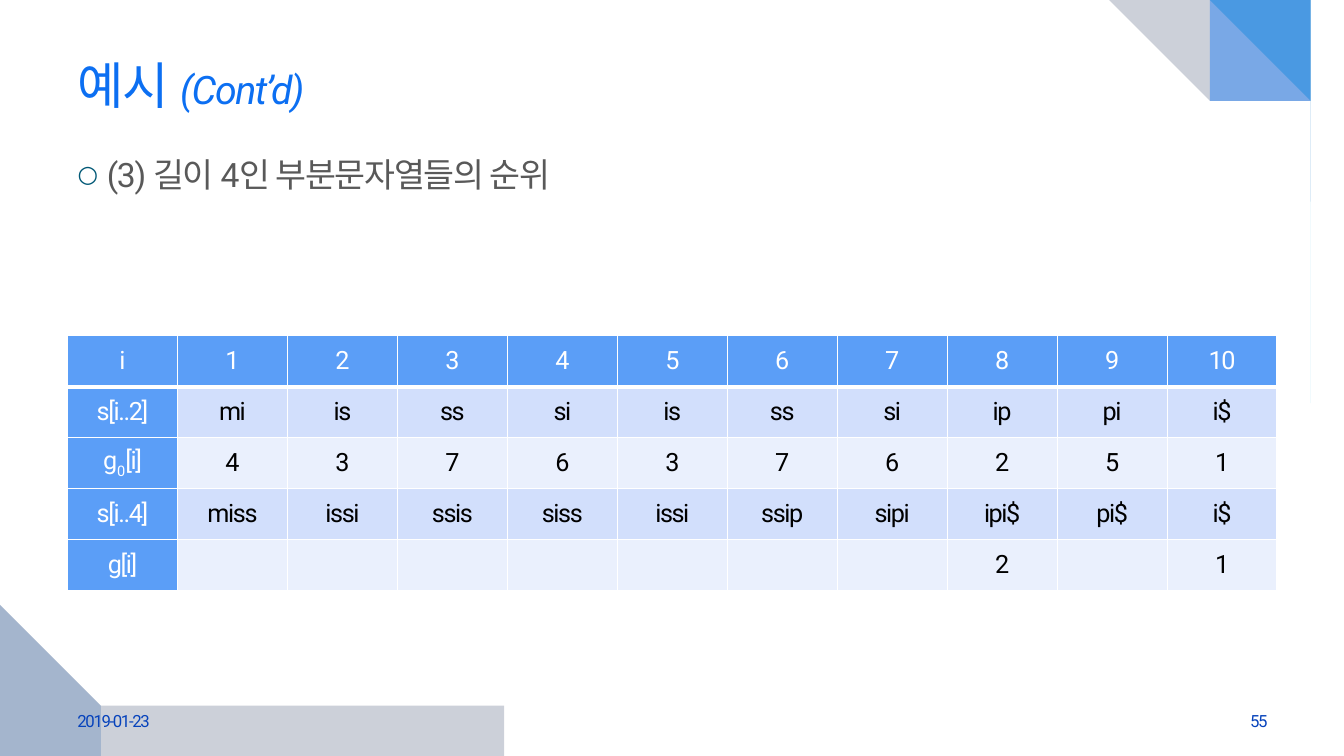
"""Build the slide that ranks the substrings of length 4."""
from lxml import etree
from pptx import Presentation
from pptx.dml.color import RGBColor
from pptx.enum import text
from pptx.oxml import ns
from pptx.util import Inches, Pt

FONT = "Roboto"
WHITE, BLACK, HEADER_BLUE = "FFFFFF", "000000", "5B9EF7"
BAND_FILLS = ["EAF0FD", "D2DFFC"]
TITLE_RUNS = [("예시 ", 36, False), ("(Cont’d)", 28, True)]
BULLET_TEXT = "(3) 길이 4인 부분문자열들의 순위"
FOOTERS = [("2019-01-23", 0.67, text.PP_ALIGN.LEFT), ("55", 9.56, text.PP_ALIGN.RIGHT)]
ROWS = [
    ["i", "1", "2", "3", "4", "5", "6", "7", "8", "9", "10"],
    ["s[i..2]", "mi", "is", "ss", "si", "is", "ss", "si", "ip", "pi", "i$"],
    ["g0[i]", "4", "3", "7", "6", "3", "7", "6", "2", "5", "1"],
    ["s[i..4]", "miss", "issi", "ssis", "siss", "issi", "ssip", "sipi", "ipi$", "pi$", "i$"],
    ["g[i]", "", "", "", "", "", "", "", "2", "", "1"],
]
SUBSCRIPT_LABEL = ["g", "0", "[i]"]
WAVES = [
    ("00B1E9", 45, [
        (13.33, 4.08), (13.33, 0), (11.89, 0), (11.98, 0.05), (12.1, 0.14), (12.2, 0.23),
        (12.31, 0.35), (12.43, 0.5), (12.53, 0.64), (12.63, 0.81), (12.72, 1), (12.82, 1.21),
        (12.91, 1.46), (13, 1.73), (13.08, 2.03), (13.15, 2.37), (13.21, 2.74), (13.27, 3.15),
        (13.31, 3.6), (13.32, 3.84)]),
    ("021741", 20, [
        (8.89, 0), (13.33, 0), (13.33, 2.15), (13.3, 2.06), (13.25, 1.96), (13.19, 1.84),
        (13.11, 1.73), (13.03, 1.6), (12.92, 1.47), (12.79, 1.34), (12.63, 1.19), (12.45, 1.05),
        (12.25, 0.91), (12.01, 0.76), (11.75, 0.63), (11.45, 0.5), (11.12, 0.38), (10.75, 0.27),
        (10.35, 0.18), (9.9, 0.1), (9.42, 0.04), (9.16, 0.02)]),
    ("247FF4", 49, [
        (8.89, 0), (13.33, 0), (13.33, 1.55), (13.3, 1.49), (13.23, 1.38), (13.14, 1.27),
        (13.03, 1.16), (12.92, 1.06), (12.79, 0.96), (12.64, 0.86), (12.46, 0.76), (12.25, 0.65),
        (12.02, 0.55), (11.75, 0.45), (11.46, 0.36), (11.12, 0.27), (10.76, 0.19), (10.35, 0.13),
        (9.91, 0.07), (9.42, 0.03), (9.07, 0.01)]),
    ("021741", 20, [
        (5, 7.5), (0, 7.5), (0, 6.08), (0.04, 6.13), (0.12, 6.24), (0.21, 6.33), (0.31, 6.41),
        (0.42, 6.49), (0.56, 6.58), (0.72, 6.68), (0.91, 6.77), (1.14, 6.87), (1.39, 6.96),
        (1.68, 7.05), (2, 7.14), (2.36, 7.22), (2.76, 7.3), (3.2, 7.36), (3.69, 7.42),
        (4.22, 7.46), (4.6, 7.48)]),
    ("084AA1", 20, [
        (0, 4.58), (0, 7.5), (1.48, 7.5), (1.39, 7.47), (1.26, 7.41), (1.16, 7.34), (1.04, 7.25),
        (0.92, 7.14), (0.82, 7.04), (0.72, 6.93), (0.62, 6.79), (0.52, 6.64), (0.43, 6.46),
        (0.34, 6.27), (0.26, 6.05), (0.19, 5.81), (0.12, 5.54), (0.07, 5.25), (0.03, 4.93)]),
]


def rgb(value):
    return RGBColor.from_string(value)


def add_element(parent, tag, **attributes):
    return etree.SubElement(parent, ns.qn(tag), attributes)


def style_run(run, size, color, italic=None):
    run.font.size, run.font.name, run.font.italic = Pt(size), FONT, italic
    run.font.color.rgb = rgb(color)
    properties = run._r.get_or_add_rPr()
    properties.set("spc", "-100")
    add_element(properties, "a:ea", typeface=FONT)


def place(shape, left, top, width, height):
    shape.left, shape.top = Inches(left), Inches(top)
    shape.width, shape.height = Inches(width), Inches(height)


def add_wave(slide, color, opacity, points):
    builder = slide.shapes.build_freeform(*points[0], scale=Inches(1))
    builder.add_line_segments(points[1:], close=True)
    shape = builder.convert_to_shape()
    shape.shadow.inherit = False
    shape.fill.solid()
    shape.fill.fore_color.rgb = rgb(color)
    shape.line.fill.background()
    color_element = shape.element.find(".//" + ns.qn("a:srgbClr"))
    add_element(color_element, "a:alpha", val=str(opacity * 1000))


def fill_title(title):
    place(title, 0.67, 0.33, 12, 1.01)
    title.text_frame.vertical_anchor = text.MSO_ANCHOR.MIDDLE
    paragraph = title.text_frame.paragraphs[0]
    paragraph.alignment = text.PP_ALIGN.LEFT
    for words, size, italic in TITLE_RUNS:
        run = paragraph.add_run()
        run.text = words
        style_run(run, size, "0C6FF2", italic)


def fill_body(body):
    place(body, 0.67, 1.48, 12, 5.22)
    body.text_frame.text = BULLET_TEXT
    paragraph = body.text_frame.paragraphs[0]
    properties = paragraph._p.get_or_add_pPr()
    properties.set("marL", str(Inches(0.29)))
    properties.set("indent", str(Inches(-0.29)))
    add_element(add_element(properties, "a:buClr"), "a:srgbClr", val="005876")
    add_element(properties, "a:buSzPct", val="70000")
    add_element(properties, "a:buFont", typeface=FONT)
    add_element(properties, "a:buChar", char="○")
    paragraph.space_before = Pt(0)
    style_run(paragraph.runs[0], 24, "595959")


def add_footer(slide, words, left, alignment):
    box = slide.shapes.add_textbox(Inches(left), Inches(6.95), Inches(3.11), Inches(0.4))
    frame = box.text_frame
    frame.word_wrap = True
    frame.vertical_anchor = text.MSO_ANCHOR.MIDDLE
    frame.text = words
    frame.paragraphs[0].alignment = alignment
    style_run(frame.paragraphs[0].runs[0], 12, "0743BC")


def style_cell(cell, row, column):
    heading = row == 0 or column == 0
    cell.vertical_anchor = text.MSO_ANCHOR.MIDDLE
    paragraph = cell.text_frame.paragraphs[0]
    paragraph.alignment = text.PP_ALIGN.CENTER
    label = ROWS[row][column]
    for part in SUBSCRIPT_LABEL if label == "g0[i]" else [label]:
        run = paragraph.add_run()
        run.text = part
        style_run(run, 18, WHITE if heading else BLACK)
        if label == "g0[i]" and part == "0":
            run._r.get_or_add_rPr().set("baseline", "-25000")
    properties = cell._tc.get_or_add_tcPr()
    thick_side = {0: "B", 1: "T"}.get(row)
    for side in "LRTB":
        width = Pt(3 if side == thick_side else 1)
        line = add_element(properties, "a:ln" + side, w=str(width))
        add_element(add_element(line, "a:solidFill"), "a:srgbClr", val=WHITE)
    cell.fill.solid()
    cell.fill.fore_color.rgb = rgb(HEADER_BLUE if heading else BAND_FILLS[row % 2])


def add_rank_table(slide):
    frame = slide.shapes.add_table(len(ROWS), len(ROWS[0]), Inches(0.67), Inches(3.33),
                                   Inches(12), Inches(2.53))
    for row, labels in enumerate(ROWS):
        for column in range(len(labels)):
            style_cell(frame.table.cell(row, column), row, column)


def main():
    presentation = Presentation()
    presentation.slide_width, presentation.slide_height = Inches(13.33), Inches(7.5)
    slide = presentation.slides.add_slide(presentation.slide_layouts[1])
    title, body = slide.placeholders
    for wave in WAVES:
        add_wave(slide, *wave)
    for placeholder in (title, body):
        placeholder.element.getparent().append(placeholder.element)
    fill_title(title)
    fill_body(body)
    for footer in FOOTERS:
        add_footer(slide, *footer)
    add_rank_table(slide)
    presentation.save("out.pptx")


if __name__ == "__main__":
    main()
